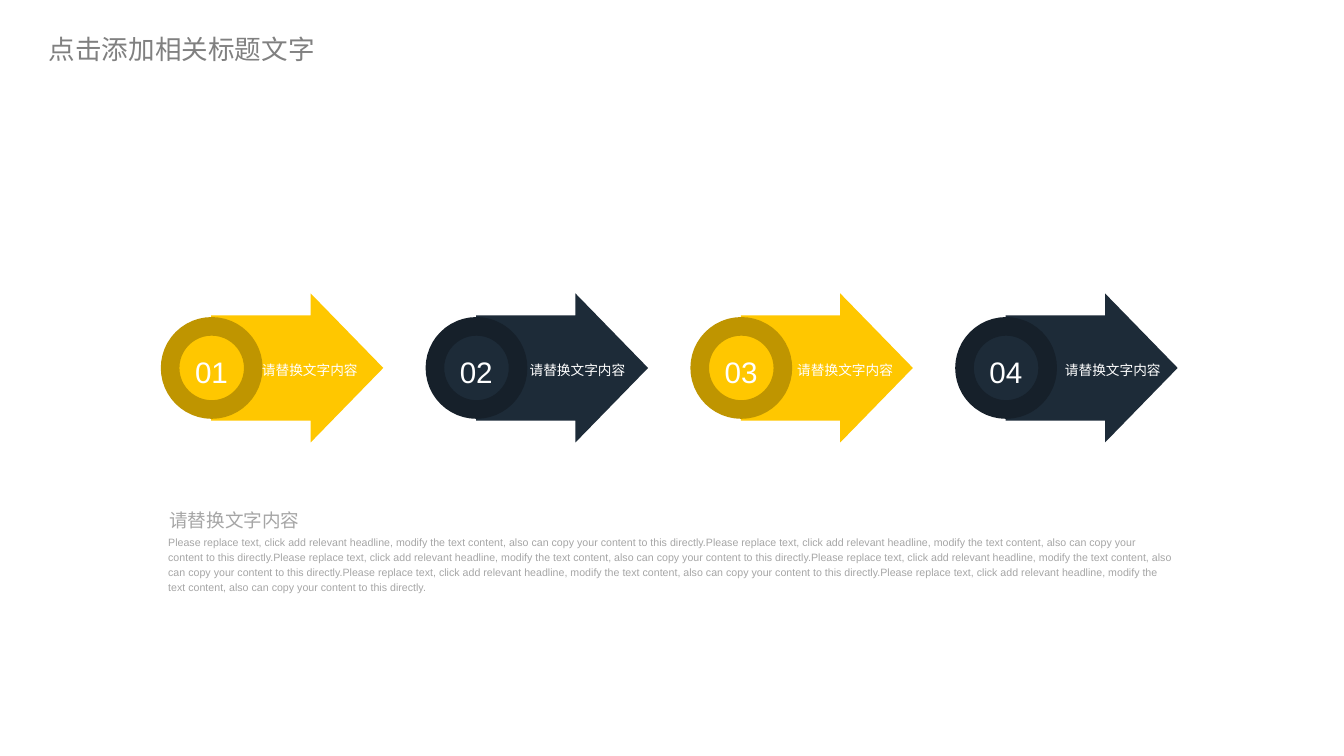
from pptx import Presentation
from pptx.dml.color import RGBColor
from pptx.enum.shapes import MSO_SHAPE
from pptx.enum.text import MSO_ANCHOR
from pptx.util import Inches, Pt

RIGHT_ARROW, OVAL = MSO_SHAPE.RIGHT_ARROW, MSO_SHAPE.OVAL
TOP, MIDDLE = MSO_ANCHOR.TOP, MSO_ANCHOR.MIDDLE

YELLOW = RGBColor(0xFF, 0xC7, 0x00)
DARK_YELLOW = RGBColor(0xBF, 0x95, 0x00)
NAVY = RGBColor(0x1D, 0x2B, 0x38)
DARK_NAVY = RGBColor(0x16, 0x20, 0x2A)
WHITE = RGBColor(0xFF, 0xFF, 0xFF)
GREY = RGBColor(0x80, 0x80, 0x80)
LIGHT_GREY = RGBColor(0xA6, 0xA6, 0xA6)

# Content
TITLE = "点击添加相关标题文字"
STEPS = [
    ("01", "请替换文字内容", YELLOW, DARK_YELLOW),
    ("02", "请替换文字内容", NAVY, DARK_NAVY),
    ("03", "请替换文字内容", YELLOW, DARK_YELLOW),
    ("04", "请替换文字内容", NAVY, DARK_NAVY),
]
SUMMARY_HEADING = "请替换文字内容"
SUMMARY = (
    "Please replace text, click add relevant headline, modify the text content, "
    "also can copy your content to this directly."
) * 6

# Grid, in inches
SLIDE_WIDTH, SLIDE_HEIGHT = 14.06, 7.91
FIRST_LEFT = 1.78
STEP_PITCH, LABEL_PITCH = 2.77, 2.8
CENTRE_Y = 3.85
ARROW_OFFSET, ARROW_WIDTH, ARROW_HEIGHT = 0.43, 1.8, 1.56
RING_SIZE, RING_LINE = 0.87, 14
NUMBER_WIDTH, NUMBER_HEIGHT = 0.35, 0.41
LABEL_OFFSET, LABEL_WIDTH, LABEL_HEIGHT = 0.96, 1.02, 0.33


def add_text(page, text, left, top, width, height, size, colour, font="Arial",
             anchor=MIDDLE, spacing=1.2, wrap=True, insets=(0, 0)):
    box = page.shapes.add_textbox(Inches(left), Inches(top), Inches(width), Inches(height))
    frame = box.text_frame
    frame.word_wrap = wrap
    frame.vertical_anchor = anchor
    frame.margin_left = frame.margin_right = Inches(insets[0])
    frame.margin_top = frame.margin_bottom = Inches(insets[1])
    para = frame.paragraphs[0]
    para.line_spacing = spacing
    span = para.add_run()
    span.text = text
    span.font.name = font
    span.font.size = Pt(size)
    span.font.color.rgb = colour


def add_solid(page, kind, left, width, height, fill):
    shape = page.shapes.add_shape(kind, Inches(left), Inches(CENTRE_Y - height / 2),
                                  Inches(width), Inches(height))
    shape.shadow.inherit = False
    shape.fill.solid()
    shape.fill.fore_color.rgb = fill
    shape.line.fill.background()
    return shape


def add_step(page, index, number, label, fill, ring_colour):
    left = FIRST_LEFT + index * STEP_PITCH
    arrow = add_solid(page, RIGHT_ARROW, left + ARROW_OFFSET, ARROW_WIDTH, ARROW_HEIGHT, fill)
    arrow.adjustments[0] = 0.706
    arrow.adjustments[1] = 0.487

    ring = add_solid(page, OVAL, left, RING_SIZE, RING_SIZE, fill)
    ring.line.color.rgb = ring_colour
    ring.line.width = Pt(RING_LINE)

    add_text(page, label, FIRST_LEFT + LABEL_OFFSET + index * LABEL_PITCH,
             CENTRE_Y - LABEL_HEIGHT / 2, LABEL_WIDTH, LABEL_HEIGHT, 10.3, WHITE)
    add_text(page, number, left + (RING_SIZE - NUMBER_WIDTH) / 2,
             CENTRE_Y - NUMBER_HEIGHT / 2, NUMBER_WIDTH, NUMBER_HEIGHT,
             22.3, WHITE, wrap=False)


def main():
    deck = Presentation()
    deck.slide_width, deck.slide_height = Inches(SLIDE_WIDTH), Inches(SLIDE_HEIGHT)
    page = deck.slides.add_slide(deck.slide_layouts[6])

    # Title
    add_text(page, TITLE, 0.4, 0.29, 3.35, 0.41, 20, GREY, font="Noto Sans CJK SC",
             anchor=TOP, spacing=1.0, insets=(0.11, 0.05))

    # Row of arrows
    for index, step in enumerate(STEPS):
        add_step(page, index, *step)

    # Summary below the arrows
    add_text(page, SUMMARY_HEADING, 1.77, 5.29, 2.32, 0.26, 14, LIGHT_GREY)
    add_text(page, SUMMARY, 1.76, 5.57, 10.54, 0.65, 8, LIGHT_GREY)

    deck.save("out.pptx")


if __name__ == "__main__":
    main()
